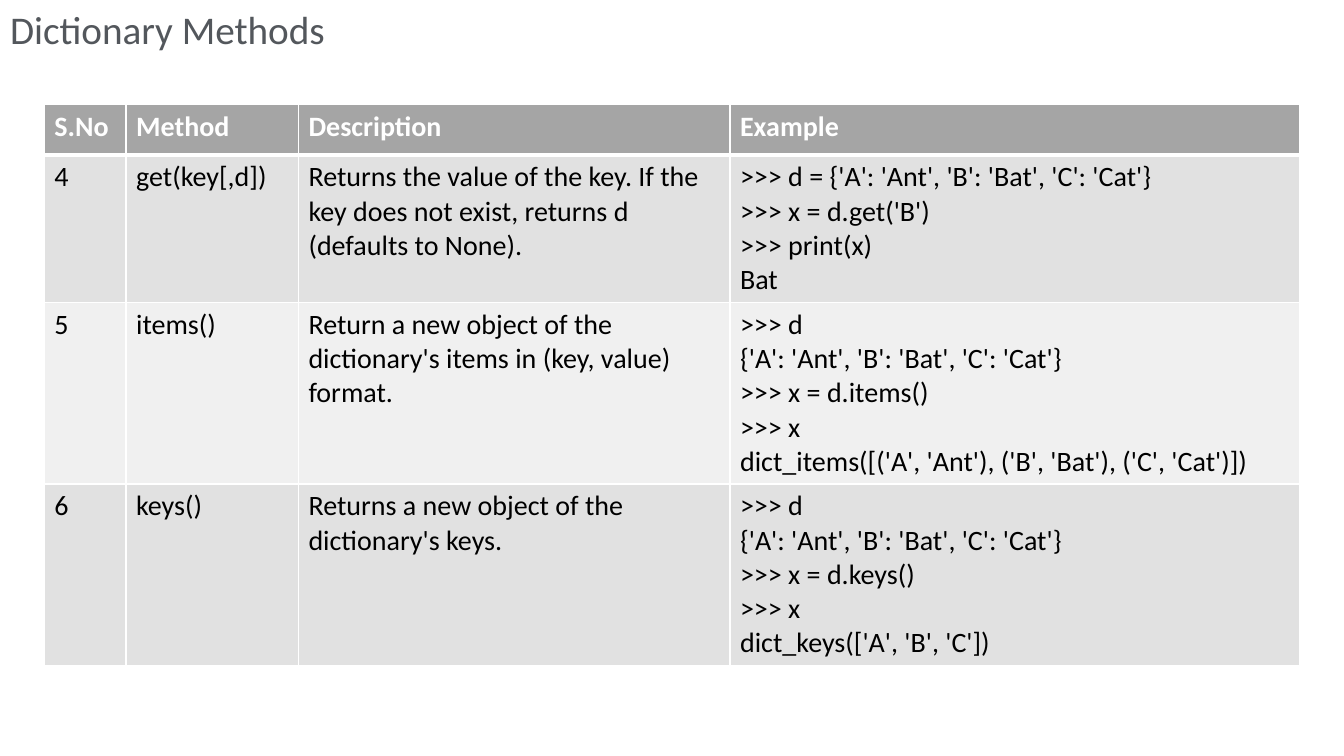
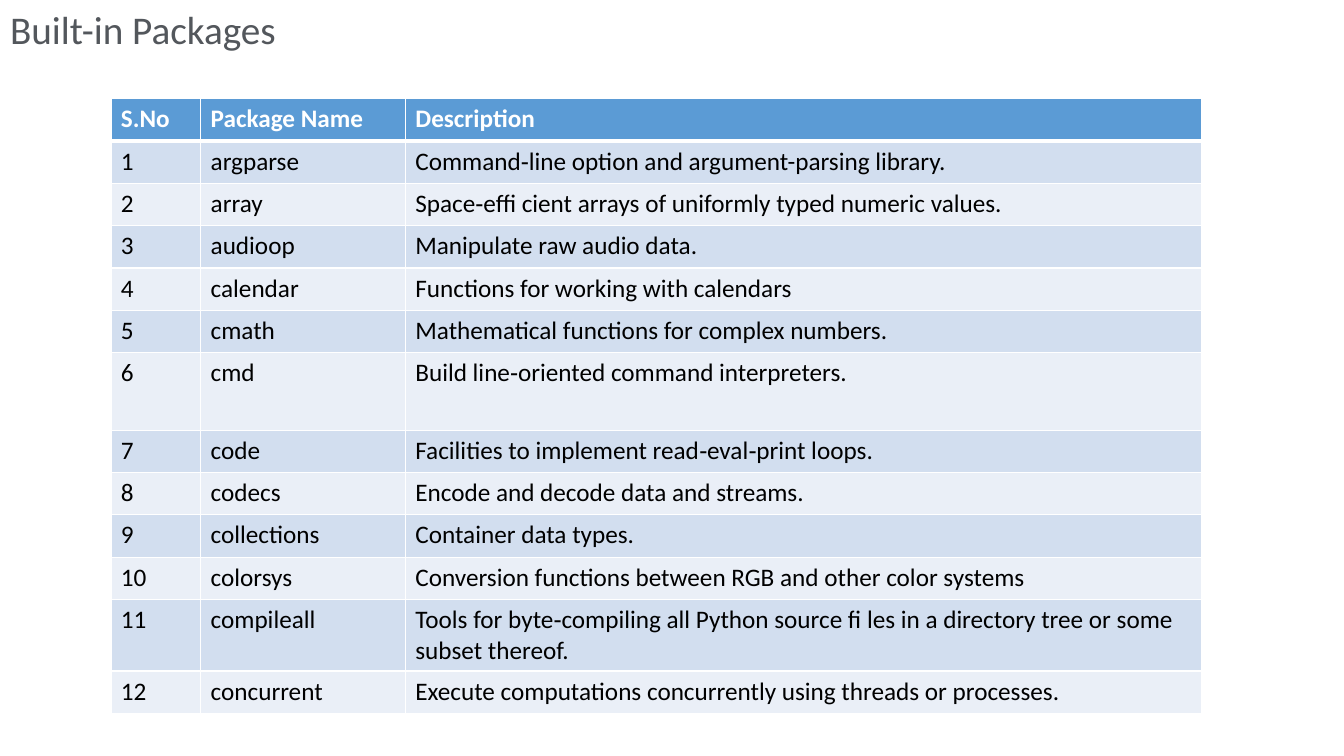
"""Build two reference slides on Python dictionaries and packages."""
import dataclasses

import lxml.etree
import pptx
import pptx.dml.color
import pptx.enum.text
import pptx.oxml.ns
import pptx.util

Inches = pptx.util.Inches


@dataclasses.dataclass(frozen=True)
class Palette:
    header: str
    odd: str
    even: str


@dataclasses.dataclass(frozen=True)
class Theme:
    font: str = "Calibri"
    title_size: int = 28
    title_color: str = "53575C"
    header_text: str = "FFFFFF"
    body_text: str = "000000"
    border: str = "FFFFFF"
    thin: int = 1
    thick: int = 3
    methods_size: int = 20
    packages_size: int = 18
    gray: Palette = Palette("A5A5A5", "E1E1E1", "F0F0F0")
    blue: Palette = Palette("5B9BD5", "D2DEEF", "EAEFF7")


THEME = Theme()

METHODS = [
    ("S.No", "Method", "Description", "Example"),
    ("4", "get(key[,d])",
     "Returns the value of the key. If the key does not exist, returns d (defaults to None).",
     ">>> d = {'A': 'Ant', 'B': 'Bat', 'C': 'Cat'}\n>>> x = d.get('B')\n>>> print(x)\nBat"),
    ("5", "items()",
     "Return a new object of the dictionary's items in (key, value) format.",
     ">>> d\n{'A': 'Ant', 'B': 'Bat', 'C': 'Cat'}\n>>> x = d.items()\n>>> x\n"
     "dict_items([('A', 'Ant'), ('B', 'Bat'), ('C', 'Cat')])"),
    ("6", "keys()",
     "Returns a new object of the dictionary's keys.",
     ">>> d\n{'A': 'Ant', 'B': 'Bat', 'C': 'Cat'}\n>>> x = d.keys()\n>>> x\n"
     "dict_keys(['A', 'B', 'C'])"),
]

PACKAGES = [
    ("argparse", "Command‐line option and argument-parsing library."),
    ("array", "Space‐effi cient arrays of uniformly typed numeric values."),
    ("audioop", "Manipulate raw audio data."),
    ("calendar", "Functions for working with calendars"),
    ("cmath", "Mathematical functions for complex numbers."),
    ("cmd", "Build line‐oriented command interpreters."),
    ("code", "Facilities to implement read‐eval‐print loops."),
    ("codecs", "Encode and decode data and streams."),
    ("collections", "Container data types."),
    ("colorsys", "Conversion functions between RGB and other color systems"),
    ("compileall", "Tools for byte‐compiling all Python source fi les in a directory tree or some\n"
                   "subset thereof."),
    ("concurrent", "Execute computations concurrently using threads or processes."),
]


def rgb(value):
    """Return a colour object for a hexadecimal string."""
    return pptx.dml.color.RGBColor.from_string(value)


def write_text(frame, text, *, size, color, bold=False):
    """Fill a text frame with one left-aligned paragraph per line."""
    for index, line in enumerate(text.split("\n")):
        para = frame.add_paragraph() if index else frame.paragraphs[0]
        para.alignment = pptx.enum.text.PP_ALIGN.LEFT
        span = para.add_run()
        span.text = line
        span.font.name = THEME.font
        span.font.size = pptx.util.Pt(size)
        span.font.bold = bold
        span.font.color.rgb = rgb(color)


def add_page(deck, title):
    """Add a title-only slide with its heading in the top left corner."""
    page = deck.slides.add_slide(deck.slide_layouts[5])
    box = page.shapes.title
    box.left, box.top = Inches(0), Inches(0)
    box.width, box.height = deck.slide_width, Inches(0.57)
    frame = box.text_frame
    frame.word_wrap = True
    frame.auto_size = pptx.enum.text.MSO_AUTO_SIZE.NONE
    frame.vertical_anchor = pptx.enum.text.MSO_ANCHOR.TOP
    write_text(frame, title, size=THEME.title_size, color=THEME.title_color)
    return page


def add_borders(cell, *, top, bottom):
    """Draw the four cell borders with the given top and bottom widths."""
    qn = pptx.oxml.ns.qn
    properties = cell._tc.get_or_add_tcPr()
    for side, width in (("L", THEME.thin), ("R", THEME.thin), ("T", top), ("B", bottom)):
        line = lxml.etree.SubElement(properties, qn(f"a:ln{side}"), w=str(pptx.util.Pt(width)))
        fill = lxml.etree.SubElement(line, qn("a:solidFill"))
        lxml.etree.SubElement(fill, qn("a:srgbClr"), val=THEME.border)


def add_grid(page, rows, *, left, top, widths, heights, palette, size):
    """Add a table with a bold header row and alternating body rows."""
    grid = page.shapes.add_table(len(rows), len(widths), Inches(left), Inches(top),
                                 Inches(sum(widths)), Inches(sum(heights))).table
    for column, width in zip(grid.columns, widths):
        column.width = Inches(width)
    for index, (row, height, texts) in enumerate(zip(grid.rows, heights, rows)):
        row.height = Inches(height)
        header = index == 0
        shade = palette.header if header else palette.odd if index % 2 else palette.even
        for cell, text in zip(row.cells, texts):
            add_borders(cell, top=THEME.thick if index == 1 else THEME.thin,
                        bottom=THEME.thick if header else THEME.thin)
            cell.fill.solid()
            cell.fill.fore_color.rgb = rgb(shade)
            write_text(cell.text_frame, text, size=size, bold=header,
                       color=THEME.header_text if header else THEME.body_text)


def main():
    """Build the deck and save it."""
    deck = pptx.Presentation()
    deck.slide_width, deck.slide_height = Inches(13.33), Inches(7.5)

    page = add_page(deck, "Dictionary Methods")
    add_grid(page, METHODS, left=0.44, top=1.04, widths=[0.81, 1.71, 4.28, 5.65],
             heights=[0.5, 1.46, 1.8, 1.8], palette=THEME.gray, size=THEME.methods_size)

    page = add_page(deck, "Built-in Packages")
    rows = [("S.No", "Package Name", "Description")]
    rows += [(str(number), *entry) for number, entry in enumerate(PACKAGES, 1)]
    tall_rows = {"cmd": 0.77, "compileall": 0.7}
    add_grid(page, rows, left=1.1, top=0.98, widths=[0.89, 2.03, 7.9],
             heights=[tall_rows.get(row[1], 0.42) for row in rows],
             palette=THEME.blue, size=THEME.packages_size)

    deck.save("out.pptx")


if __name__ == "__main__":
    main()
